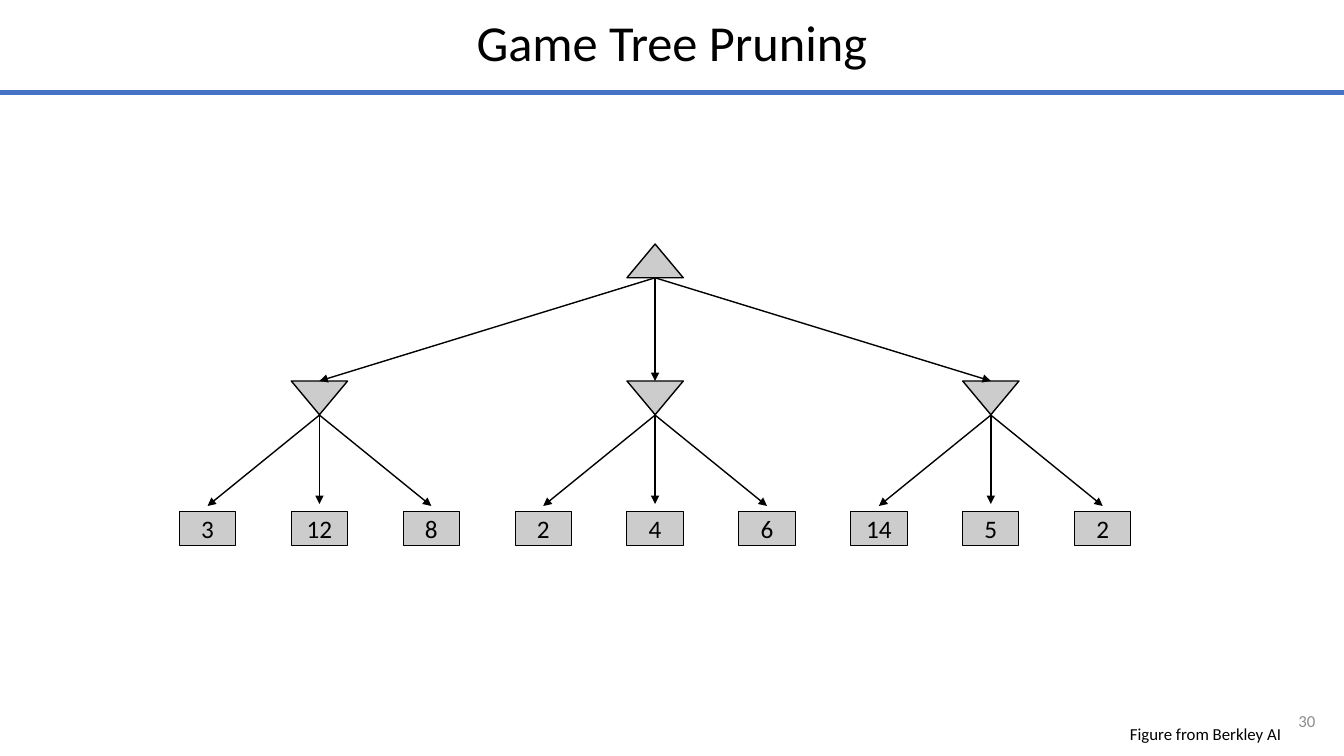
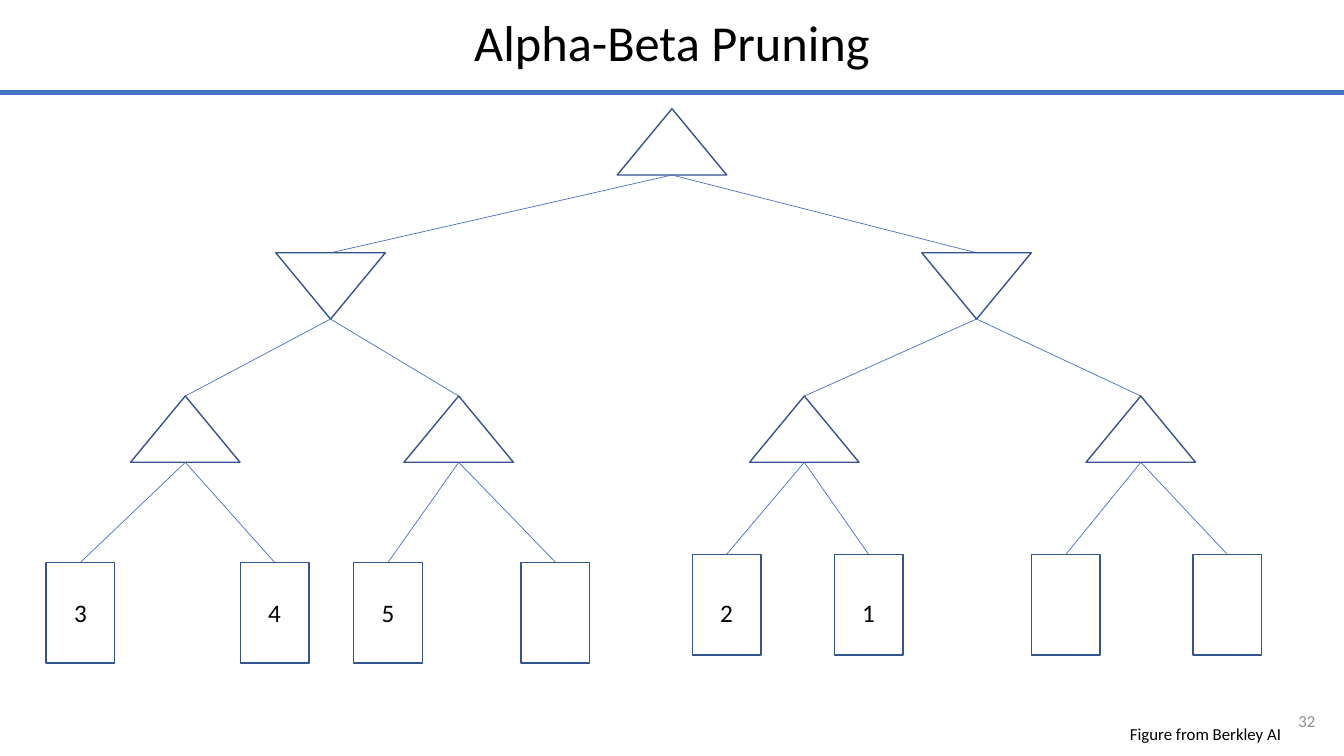
import pptx
import pptx.dml.color
import pptx.enum.shapes
import pptx.enum.text
import pptx.oxml
import pptx.util
from lxml import etree
from pptx.oxml.ns import qn

Cm = pptx.util.Cm
Pt = pptx.util.Pt
Shape = pptx.enum.shapes.MSO_SHAPE
Align = pptx.enum.text.PP_ALIGN
Anchor = pptx.enum.text.MSO_ANCHOR

FONT = "Calibri"
COLOURS = {
    "ink": "000000",
    "accent": "4472C4",
    "outline": "325491",
    "node": "CCCCCC",
    "number": "8C8C8C",
}
SLIDE_WIDTH = 33.87
SLIDE_HEIGHT = 19.05


def colour(name):
    return pptx.dml.color.RGBColor.from_string(COLOURS[name])


def write_text(box, text, size=18, ink="ink", align=Align.CENTER,
               anchor=Anchor.MIDDLE, wrap=True, spacing=1.0):
    frame = box.text_frame
    frame.word_wrap = wrap
    frame.vertical_anchor = anchor
    para = frame.paragraphs[0]
    para.alignment = align
    para.line_spacing = spacing
    para.space_before = Pt(0)
    span = para.add_run()
    span.text = text
    span.font.name = FONT
    span.font.size = Pt(size)
    span.font.color.rgb = colour(ink)


def add_label(page, text, left, top, width, height, **text_format):
    box = page.shapes.add_textbox(Cm(left), Cm(top), Cm(width), Cm(height))
    write_text(box, text, **text_format)


def add_line(page, start, end, ink, weight, arrow=False):
    line = page.shapes.add_connector(
        pptx.enum.shapes.MSO_CONNECTOR.STRAIGHT,
        *(Cm(length) for length in (*start, *end)))
    line.line.color.rgb = colour(ink)
    line.line.width = Pt(weight)
    if arrow:
        etree.SubElement(line.line._get_or_add_ln(), qn("a:tailEnd"), type="triangle")
    etree.SubElement(line._element.spPr, qn("a:effectLst"))


def add_node(page, kind, centre, top, size, outline, fill=None, weight=1):
    width, height = size
    node = page.shapes.add_shape(
        kind, Cm(centre - width / 2), Cm(top), Cm(width), Cm(height))
    node.shadow.inherit = False
    if fill:
        node.fill.solid()
        node.fill.fore_color.rgb = colour(fill)
    else:
        node.fill.background()
    node.line.color.rgb = colour(outline)
    node.line.width = Pt(weight)
    return node


def add_player_row(page, centres, top, size, maximiser, **style):
    for centre in centres:
        node = add_node(page, Shape.ISOSCELES_TRIANGLE, centre, top, size, **style)
        node.rotation = 0 if maximiser else 180


def add_branches(page, parents, bottom, children, tops, **style):
    fan = len(children) // len(parents)
    for index, (child, top) in enumerate(zip(children, tops)):
        add_line(page, (parents[index // fan], bottom), (child, top), **style)


def start_page(deck, title, number):
    page = deck.slides.add_slide(deck.slide_layouts[5])
    heading = page.shapes.title
    heading.left, heading.top = Cm(0), Cm(-0.05)
    heading.width, heading.height = Cm(SLIDE_WIDTH), Cm(2.4)
    write_text(heading, title, size=36, spacing=0.9)
    add_line(page, (0, 2.34), (SLIDE_WIDTH, 2.34), "accent", 3.75)
    add_label(page, number, 31.67, 17.65, 1.73, 1.02,
              size=12, ink="number", align=Align.RIGHT)
    add_label(page, "Figure from Berkley AI", 27.5, 18.16, 5.04, 0.69,
              size=12, align=Align.RIGHT, anchor=Anchor.TOP, spacing=0.9)
    return page


def build_game_tree(deck):
    page = start_page(deck, "Game Tree Pruning", "30")
    values = ["3", "12", "8", "2", "4", "6", "14", "5", "2"]
    leaves = [5.23 + 2.82 * index for index in range(len(values))]
    minimisers = leaves[1::3]
    root = [minimisers[1]]
    size = (1.42, 0.85)
    node_style = {"outline": "ink", "fill": "node"}
    arrow_style = {"ink": "ink", "weight": 1, "arrow": True}

    add_player_row(page, root, 6.15, size, True, **node_style)
    add_player_row(page, minimisers, 9.6, size, False, **node_style)
    add_branches(page, root, 7, minimisers, [9.6] * 3, **arrow_style)
    add_branches(page, minimisers, 10.46, leaves, [12.75, 12.7, 12.75] * 3,
                 **arrow_style)
    for centre, value in zip(leaves, values):
        leaf = add_node(page, Shape.RECTANGLE, centre, 12.9, size,
                        weight=0.75, **node_style)
        write_text(leaf, value, wrap=False)


def build_alpha_beta(deck):
    page = start_page(deck, "Alpha-Beta Pruning", "32")
    values = ["3", "4", "5", "", "2", "1", "", ""]
    leaves = [2.03, 6.92, 9.78, 14, 18.31, 21.89, 26.86, 30.93]
    left_top, right_top = 14.17, 13.97
    leaf_tops = [left_top] * 4 + [right_top] * 4
    size = (2.76, 1.67)
    levels = [
        ([SLIDE_WIDTH / 2], 2.74),
        ([8.33, 24.61], 6.37),
        ([4.67, 11.56, 20.27, 28.75], 9.98),
    ]
    targets = [(centres, [top] * len(centres)) for centres, top in levels[1:]]
    targets.append((leaves, leaf_tops))

    for depth, ((centres, top), (children, tops)) in enumerate(zip(levels, targets)):
        add_player_row(page, centres, top, size, depth % 2 == 0, outline="outline")
        add_branches(page, centres, top + size[1], children, tops,
                     ink="accent", weight=0.5)
    for centre, top, value in zip(leaves, leaf_tops, values):
        leaf = add_node(page, Shape.RECTANGLE, centre, top, (1.73, 2.54), "outline")
        if value:
            write_text(leaf, value, wrap=False)
            leaf.text_frame.margin_bottom = Cm(0)
            leaf.text_frame.margin_top = Cm(2 * (left_top - top))


def main():
    deck = pptx.Presentation()
    deck.slide_width = Cm(SLIDE_WIDTH)
    deck.slide_height = Cm(SLIDE_HEIGHT)
    build_game_tree(deck)
    build_alpha_beta(deck)
    deck.save("out.pptx")


if __name__ == "__main__":
    main()
